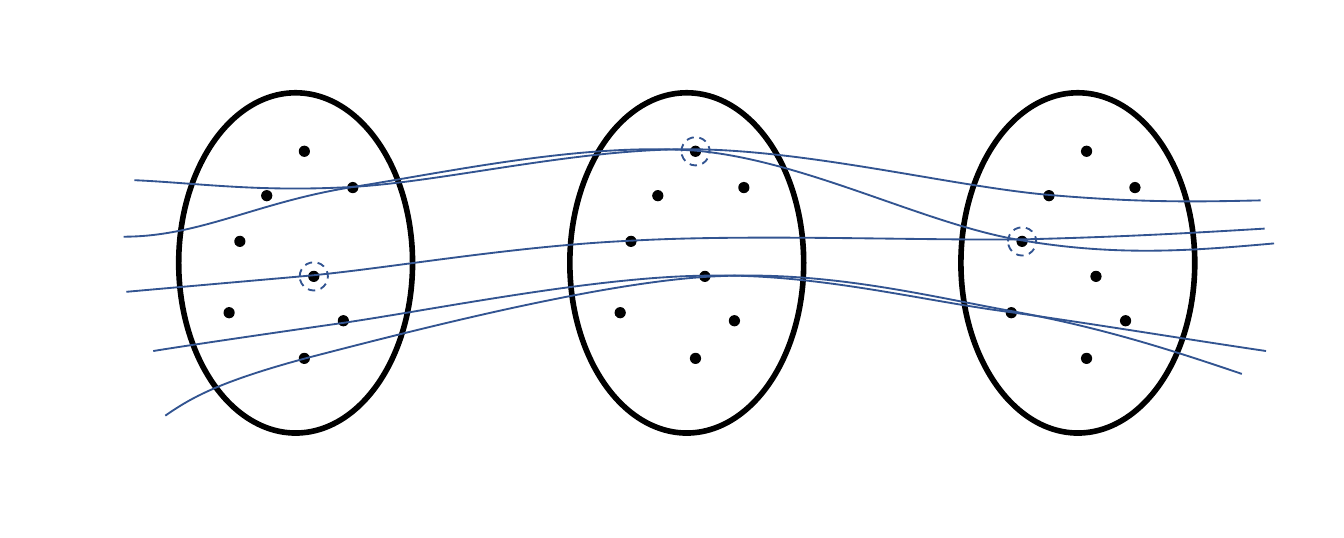
import pptx
import pptx.dml.color
import pptx.enum.dml
import pptx.enum.shapes
import pptx.oxml.ns
import pptx.util
from lxml import etree

Inches = pptx.util.Inches
qn = pptx.oxml.ns.qn

COLORS = {"white": "FFFFFF", "black": "000000", "blue": "325491"}
LEFT, TOP, GAP = 1.33, 0.69, 2.91
WIDTH, HEIGHT = 1.74, 2.53
DOT, RING = 0.07, 0.21
DOTS = [
    (0.62, 0.73), (0.42, 1.07), (0.9, 0.4), (1.26, 0.67),
    (0.97, 1.33), (1.19, 1.66), (0.9, 1.94), (0.34, 1.6),
]
RINGS = [(1, 2), (2, 0), (0, 4)]
RINGS[1] = (2, 1)
CURVES = [
    [(0.92, 1.76), (1.49, 1.76), (1.92, 1.5), (2.63, 1.39), (3.33, 1.28),
     (4.34, 1.06), (5.17, 1.12), (6, 1.19), (6.9, 1.68), (7.62, 1.79),
     (8.34, 1.91), (8.91, 1.86), (9.48, 1.81)],
    [(1, 1.34), (1.46, 1.36), (1.92, 1.43), (2.62, 1.39), (3.32, 1.35),
     (4.31, 1.1), (5.17, 1.11), (6.04, 1.12), (7.11, 1.39), (7.81, 1.45),
     (8.51, 1.51), (8.94, 1.5), (9.38, 1.49)],
    [(0.94, 2.17), (1.39, 2.13), (1.85, 2.09), (2.3, 2.05), (2.93, 1.99),
     (3.82, 1.83), (4.7, 1.79), (5.59, 1.74), (6.84, 1.79), (7.62, 1.78),
     (8.41, 1.76), (8.91, 1.73), (9.41, 1.7)],
    [(1.14, 2.61), (1.51, 2.55), (2.56, 2.4), (2.56, 2.4), (3.24, 2.3),
     (4.42, 2.06), (5.24, 2.05), (6.07, 2.03), (6.82, 2.23), (7.51, 2.32),
     (8.21, 2.42), (8.81, 2.52), (9.42, 2.61)],
    [(1.23, 3.09), (1.42, 2.96), (1.62, 2.84), (2.29, 2.66), (2.95, 2.49),
     (4.36, 2.12), (5.23, 2.06), (6.1, 2), (6.85, 2.19), (7.51, 2.31),
     (8.18, 2.43), (8.71, 2.6), (9.24, 2.78)],
]


def color(name):
    return pptx.dml.color.RGBColor.from_string(COLORS[name])


def style(shape, fill, line, weight):
    shape.shadow.inherit = False
    if fill:
        shape.fill.solid()
        shape.fill.fore_color.rgb = color(fill)
    else:
        shape.fill.background()
    shape.line.color.rgb = color(line)
    shape.line.width = pptx.util.Pt(weight)


def add_oval(group, x, y, width, height, fill, line, weight=1):
    oval = group.shapes.add_shape(
        pptx.enum.shapes.MSO_SHAPE.OVAL,
        Inches(x), Inches(y), Inches(width), Inches(height))
    style(oval, fill, line, weight)
    return oval


def dot_spot(sheet, dot):
    x, y = DOTS[dot]
    return LEFT + sheet * GAP + x, TOP + y


def add_sheet(group, sheet):
    add_oval(group, LEFT + sheet * GAP, TOP, WIDTH, HEIGHT, "white", "black", 3)
    for dot in range(len(DOTS)):
        add_oval(group, *dot_spot(sheet, dot), DOT, DOT, "black", "black")


def add_curve(group, points):
    start, *rest = [(Inches(x), Inches(y)) for x, y in points]
    builder = group.shapes.build_freeform(*start)
    builder.add_line_segments(rest, close=False)
    curve = builder.convert_to_shape()
    style(curve, None, "blue", 1)
    lines = list(curve._element.iter(qn("a:lnTo")))
    parent = lines[0].getparent()
    for i, line in enumerate(lines):
        if i % 3 == 0:
            bezier = etree.SubElement(parent, qn("a:cubicBezTo"))
        bezier.append(line[0])
        parent.remove(line)


def add_ring(group, sheet, dot):
    x, y = dot_spot(sheet, dot)
    inset = (RING - DOT) / 2
    ring = add_oval(group, x - inset, y - inset, RING, RING, None, "blue")
    ring.line.dash_style = pptx.enum.dml.MSO_LINE.DASH


def main():
    deck = pptx.Presentation()
    deck.slide_width = Inches(10)
    deck.slide_height = Inches(4)
    slide = deck.slides.add_slide(deck.slide_layouts[6])
    group = slide.shapes.add_group_shape()
    for sheet in range(3):
        add_sheet(group, sheet)
    for points in CURVES:
        add_curve(group, points)
    for sheet, dot in RINGS:
        add_ring(group, sheet, dot)
    deck.save("out.pptx")


if __name__ == "__main__":
    main()
